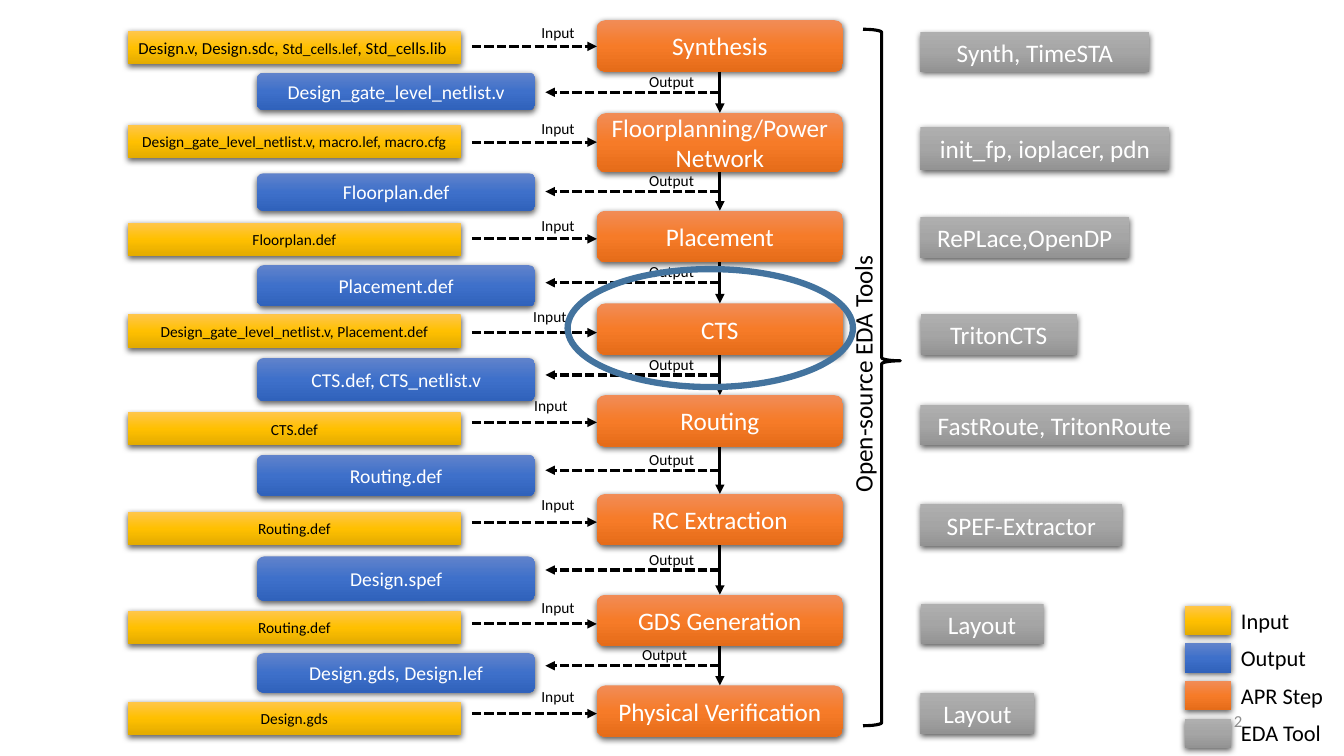
from pptx import Presentation
from pptx import util as u
from pptx.dml.color import RGBColor
from pptx.enum import dml, shapes, text
from pptx.oxml import parse_xml
from pptx.oxml.ns import nsdecls, qn

COLORS = {"black": "000000", "white": "FFFFFF", "ring": "43739E", "number": "8C8C8C"}
GRADIENTS = {
    "input": ("FFC64B", "FFC000", "E3AB00"),
    "output": ("6183CB", "3E70CA", "3062BB"),
    "step": ("F18C57", "F67B28", "E56C19"),
    "tool": ("AFAFAF", "A5A5A5", "939393"),
}
RECT = shapes.MSO_SHAPE.RECTANGLE
ROUND = shapes.MSO_SHAPE.ROUNDED_RECTANGLE
LEFT, CENTER, RIGHT = text.PP_ALIGN.LEFT, text.PP_ALIGN.CENTER, text.PP_ALIGN.RIGHT


def write(tf, words, size=18, color="black", align=LEFT, anchor=text.MSO_ANCHOR.TOP):
    runs = [(words, size)] if isinstance(words, str) else words
    tf.word_wrap = True
    tf.vertical_anchor = anchor
    p = tf.paragraphs[0]
    p.alignment = align
    for words, size in runs:
        r = p.add_run()
        r.text = words
        r.font.name = "Calibri"
        r.font.size = u.Pt(size)
        r.font.color.rgb = RGBColor.from_string(COLORS[color])


class FlowSlide:
    def __init__(self, prs):
        self.shapes = prs.slides.add_slide(prs.slide_layouts[6]).shapes

    def box(self, kind, role, at, words="", **style):
        sp = self.shapes.add_shape(kind, *map(u.Inches, at))
        sp.line.fill.background()
        sp.shadow.inherit = False
        spPr = sp._element.spPr
        stops = "".join(
            f'<a:gs pos="{i * 50000}"><a:srgbClr val="{c}"/></a:gs>'
            for i, c in enumerate(GRADIENTS[role])
        )
        spPr.insert(2, parse_xml(
            f'<a:gradFill {nsdecls("a")} rotWithShape="1"><a:gsLst>{stops}</a:gsLst>'
            '<a:lin ang="5400000" scaled="0"/></a:gradFill>'
        ))
        spPr.find(qn("a:effectLst")).append(parse_xml(
            f'<a:outerShdw {nsdecls("a")} blurRad="57150" dist="19050" dir="5400000" '
            'algn="ctr" rotWithShape="0"><a:srgbClr val="000000">'
            '<a:alpha val="63000"/></a:srgbClr></a:outerShdw>'
        ))
        if words:
            write(sp.text_frame, words, align=CENTER, anchor=text.MSO_ANCHOR.MIDDLE, **style)

    def outline(self, kind, at, color, width, adjust=()):
        sp = self.shapes.add_shape(kind, *map(u.Inches, at))
        for i, value in enumerate(adjust):
            sp.adjustments[i] = value
        sp.fill.background()
        sp.shadow.inherit = False
        sp.line.color.rgb = RGBColor.from_string(COLORS[color])
        sp.line.width = u.Pt(width)

    def label(self, at, words, rotation=0, **style):
        sp = self.shapes.add_textbox(*map(u.Inches, at))
        sp.rotation = rotation
        write(sp.text_frame, words, **style)

    def arrow(self, x1, y1, x2, y2, dashed=False):
        sp = self.shapes.add_connector(
            shapes.MSO_CONNECTOR.STRAIGHT, *map(u.Inches, (x1, y1, x2, y2)))
        sp.line.color.rgb = RGBColor.from_string(COLORS["black"])
        sp.line.width = u.Pt(2.25)
        if dashed:
            sp.line.dash_style = dml.MSO_LINE.SQUARE_DOT
        spPr = sp._element.spPr
        spPr.find(qn("a:ln")).append(parse_xml(f'<a:tailEnd {nsdecls("a")} type="triangle"/>'))
        spPr.append(parse_xml(f'<a:effectLst {nsdecls("a")}/>'))


STEPS = [
    ("Synthesis", 0.2, 0.51),
    ("Floorplanning/Power Network", 1.12, 0.59),
    ("Placement", 2.09, 0.51),
    ("CTS", 3.01, 0.51),
    ("Routing", 3.92, 0.51),
    ("RC Extraction", 4.9, 0.51),
    ("GDS Generation", 5.9, 0.51),
    ("Physical Verification", 6.8, 0.51),
]
TOOLS = [
    ("Synth, TimeSTA", 0.32, 2.27, 0.39),
    ("init_fp, ioplacer, pdn", 1.26, 2.47, 0.43),
    ("RePLace,OpenDP", 2.15, 2.07, 0.41),
    ("TritonCTS", 3.12, 1.55, 0.4),
    ("FastRoute, TritonRoute", 4.02, 2.66, 0.4),
    ("SPEF-Extractor", 5, 2, 0.42),
    ("Layout", 5.99, 1.22, 0.4),
    ("Layout", 6.87, 1.13, 0.41),
]
SYNTHESIS_FILES = [("Design.v, Design.sdc, ", 12), ("Std_cells.lef", 11), (", Std_cells.lib ", 12)]
INPUTS = [
    (SYNTHESIS_FILES, 0.31, 0.46, 5.27, 0.18),
    ("Design_gate_level_netlist.v, macro.lef, macro.cfg", 1.24, 1.41, 5.27, 1.13),
    ("Floorplan.def", 2.21, 2.37, 5.27, 2.09),
    ("Design_gate_level_netlist.v, Placement.def", 3.12, 3.3, 5.19, 3),
    ("CTS.def", 4.09, 4.19, 5.2, 3.88),
    ("Routing.def", 5.08, 5.18, 5.27, 4.86),
    ("Routing.def", 6.06, 6.19, 5.27, 5.88),
    ("Design.gds", 6.96, 7.08, 5.27, 6.77),
]
OUTPUTS = [
    ("Design_gate_level_netlist.v", 0.72, 0.37, 6.34),
    ("Floorplan.def", 1.72, 0.37, 6.34),
    ("Placement.def", 2.63, 0.41, 6.34),
    ("CTS.def, CTS_netlist.v", 3.55, 0.43, 6.34),
    ("Routing.def", 4.51, 0.41, 6.34),
    ("Design.spef", 5.52, 0.44, 6.34),
    ("Design.gds, Design.lef", 6.48, 0.39, 6.27),
]
LEGEND = [("input", "Input"), ("output", "Output"), ("step", "APR Step"), ("tool", "EDA Tool")]
STEP_MIDDLE = 7.14


def main():
    prs = Presentation()
    prs.slide_width, prs.slide_height = u.Inches(13.33), u.Inches(7.5)
    flow = FlowSlide(prs)

    for name, top, height in STEPS:
        flow.box(ROUND, "step", (5.92, top, 2.44, height), name, color="white")
    for name, top, width, height in TOOLS:
        flow.box(RECT, "tool", (9.13, top, width, height), name, color="white")

    flow.outline(shapes.MSO_SHAPE.RIGHT_BRACE, (8.56, 0.29, 0.37, 6.91), "black", 2.25,
                 (0.083, 0.476))
    flow.label((6.6, 2.83, 3.91, 0.4), "Open-source EDA Tools", rotation=270)

    for files, top, arrow_y, label_x, label_y in INPUTS:
        flow.arrow(4.68, arrow_y, 5.92, arrow_y, dashed=True)
        flow.label((label_x, label_y, 0.65, 0.29), "Input", size=11)
        flow.box(RECT, "input", (1.27, top, 3.3, 0.33), files, size=11)

    for step, following, output in zip(STEPS, STEPS[1:], OUTPUTS):
        start, end = step[1] + step[2], following[1]
        middle = (start + end) / 2
        files, top, height, label_x = output
        flow.arrow(STEP_MIDDLE, start, STEP_MIDDLE, end)
        flow.arrow(STEP_MIDDLE, middle, 5.41, middle, dashed=True)
        flow.label((label_x, middle - 0.25, 0.9, 0.29), "Output", size=11)
        flow.box(ROUND, "output", (2.55, top, 2.76, height), files, size=14, color="white")

    for i, (role, name) in enumerate(LEGEND):
        top = 6.01 + i * 0.373
        flow.box(RECT, role, (11.75, top, 0.46, 0.29))
        flow.label((12.21, top - 0.04, 1.2, 0.37), name, size=16)

    flow.outline(shapes.MSO_SHAPE.OVAL, (5.63, 2.67, 2.83, 1.17), "ring", 4.5)
    flow.label((9.42, 6.95, 3, 0.4), "2", size=12, color="number", align=RIGHT,
               anchor=text.MSO_ANCHOR.MIDDLE)
    prs.save("out.pptx")


if __name__ == "__main__":
    main()
